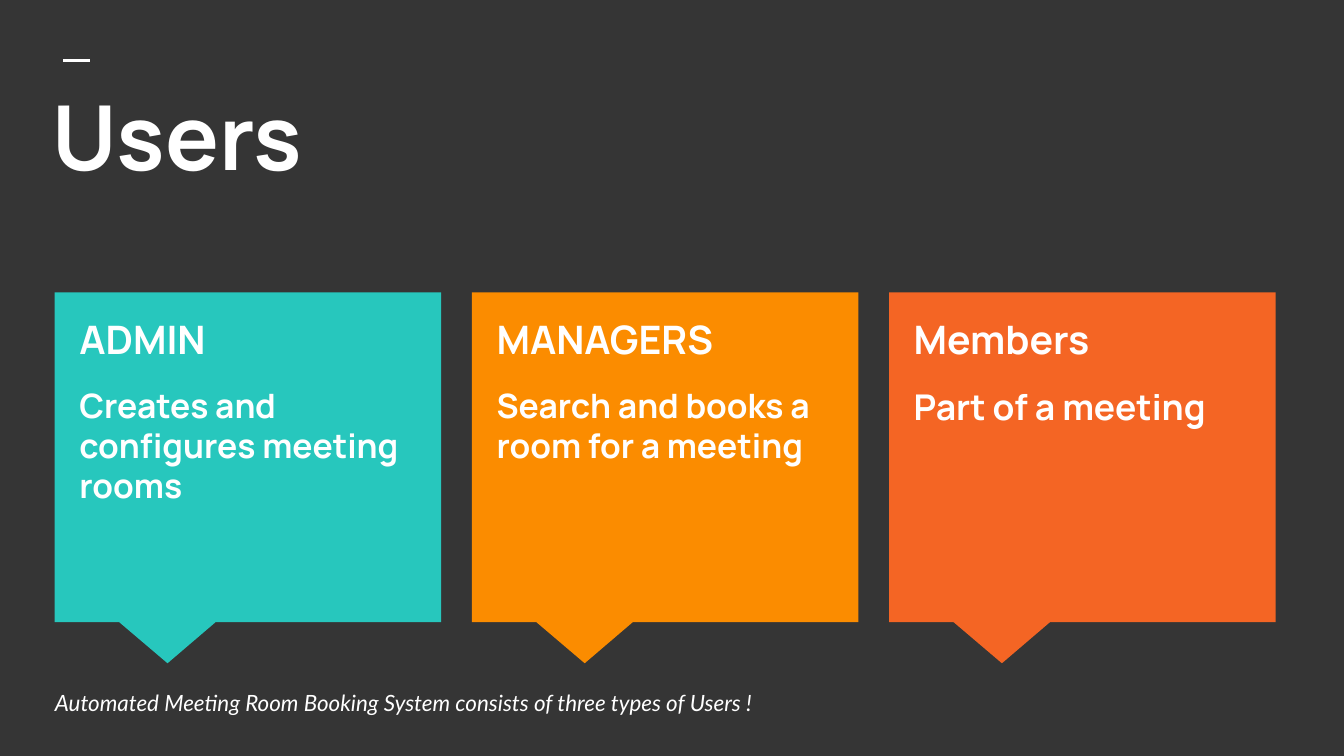
import pptx
import pptx.util
import pptx.dml.color
import pptx.enum.shapes
import pptx.enum.text
import pptx.oxml.ns
import lxml.etree

Pt = pptx.util.Pt
qn = pptx.oxml.ns.qn
Anchor = pptx.enum.text.MSO_ANCHOR

COLORS = {
    "back": "353535",
    "white": "FFFFFF",
    "teal": "27C7BD",
    "amber": "FB8C00",
    "coral": "F46524",
}
CARDS = [
    ("ADMIN", "Creates and configures meeting rooms", "teal", 18),
    ("MANAGERS", "Search and books a room for a meeting", "amber", 18),
    ("Members", "Part of a meeting", "coral", 19),
]


def color(name):
    return pptx.dml.color.RGBColor.from_string(COLORS[name])


def place(shape, left, top, width, height):
    shape.left, shape.top = Pt(left), Pt(top)
    shape.width, shape.height = Pt(width), Pt(height)


def write(frame, text, size, face="Manrope", bold=False, italic=False,
          anchor=Anchor.TOP, gap=0, first=True):
    if first:
        frame.word_wrap = True
        frame.auto_size = pptx.enum.text.MSO_AUTO_SIZE.NONE
        frame.vertical_anchor = anchor
        frame.margin_left = frame.margin_right = Pt(7.2)
        frame.margin_top = frame.margin_bottom = Pt(7.2)
    para = frame.paragraphs[0] if first else frame.add_paragraph()
    props = para._p.get_or_add_pPr()
    props.set("marL", "0")
    props.set("indent", "0")
    lxml.etree.SubElement(props, qn("a:buNone"))
    para.alignment = pptx.enum.text.PP_ALIGN.LEFT
    para.space_before = para.space_after = Pt(gap)
    run = para.add_run()
    run.text = text
    run.font.name = face
    run.font.size = Pt(size)
    run.font.bold = bold
    run.font.italic = italic
    run.font.color.rgb = color("white")


def header(slide, left, top, width, height):
    dash = slide.shapes.add_connector(
        pptx.enum.shapes.MSO_CONNECTOR.STRAIGHT,
        Pt(left + 13), Pt(top - 3.6), Pt(left + 27.4), Pt(top - 3.6))
    dash.line.color.rgb = color("white")
    dash.line.width = Pt(1.5)
    lxml.etree.SubElement(dash.element.spPr, qn("a:effectLst"))
    title = slide.shapes.title
    place(title, left, top, width, height)
    write(title.text_frame, "Users", 48, bold=True)


def card(slide, body, left, top, width, height, name, role, fill, size):
    shape = slide.shapes.add_shape(
        pptx.enum.shapes.MSO_SHAPE.RECTANGULAR_CALLOUT,
        Pt(left), Pt(top), Pt(width), Pt(height))
    shape.adjustments[0] = -0.208
    shape.adjustments[1] = 0.625
    shape.shadow.inherit = False
    shape.fill.solid()
    shape.fill.fore_color.rgb = color(fill)
    shape.line.fill.background()
    shape.element.addnext(body.element)
    place(body, left + 6, top + 5, width - 12, height - 19)
    write(body.text_frame, name, 21, bold=True)
    write(body.text_frame, role, size, bold=True, gap=12, first=False)


def footer(slide, left, top, width, height):
    note = slide.shapes.add_textbox(Pt(left), Pt(top), Pt(width), Pt(height))
    write(note.text_frame,
          "Automated Meeting Room Booking System consists of three types of Users !",
          12, face="Lato", italic=True, anchor=Anchor.MIDDLE)


def main():
    deck = pptx.Presentation()
    deck.slide_width, deck.slide_height = Pt(720), Pt(405)
    slide = deck.slides.add_slide(deck.slide_layouts.get_by_name("Comparison"))
    slide.background.fill.solid()
    slide.background.fill.fore_color.rgb = color("back")
    bodies = [item for item in slide.placeholders
              if item.placeholder_format.idx > 0]
    header(slide, 20.8, 36, 679, 80.6)
    for index, (body, content) in enumerate(zip(bodies, CARDS)):
        card(slide, body, 29.3 + index * 223.5, 156.7, 207, 176.6, *content)
    for body in bodies[len(CARDS):]:
        body.element.getparent().remove(body.element)
    footer(slide, 22.3, 366.5, 492, 20)
    deck.save("out.pptx")


if __name__ == "__main__":
    main()
